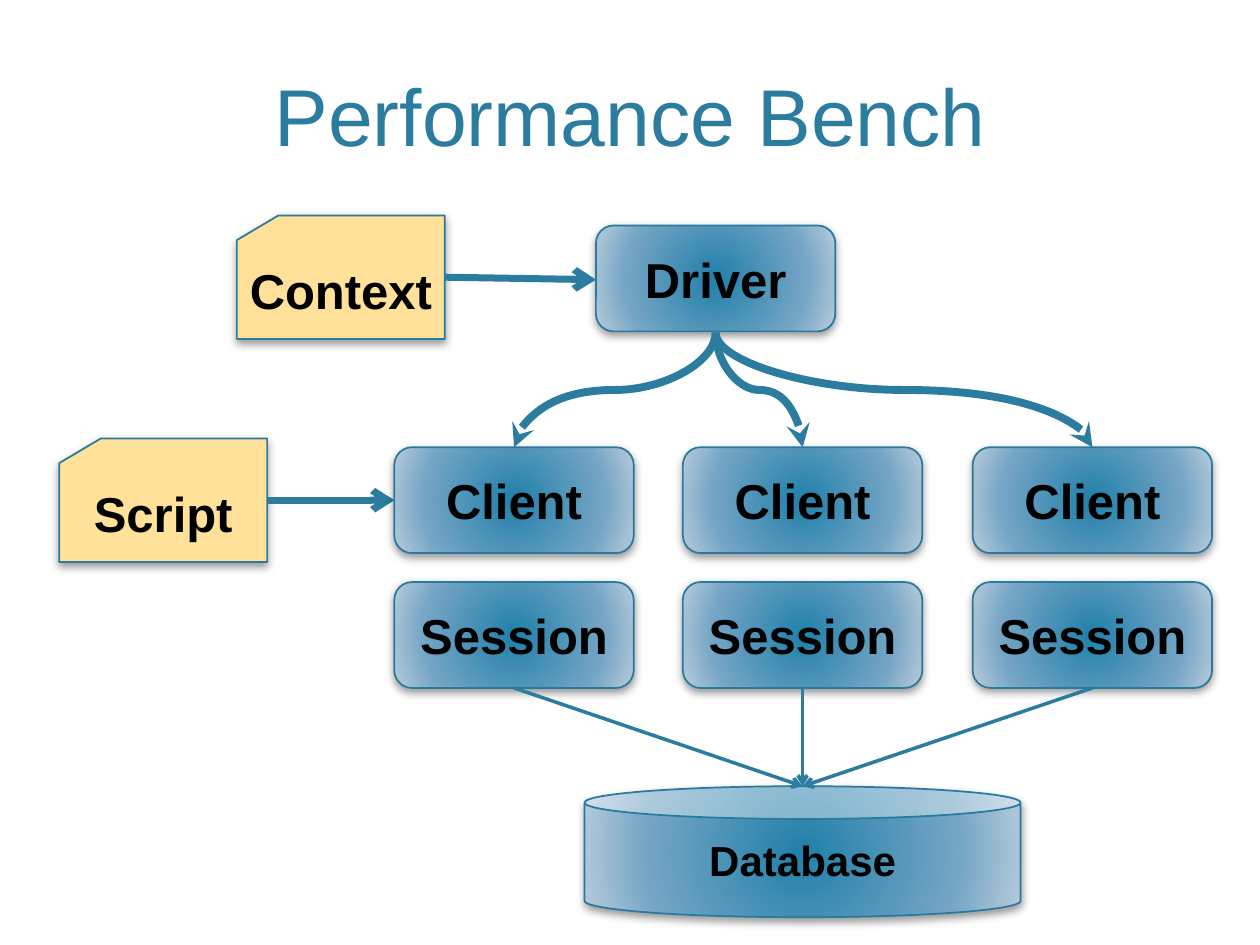
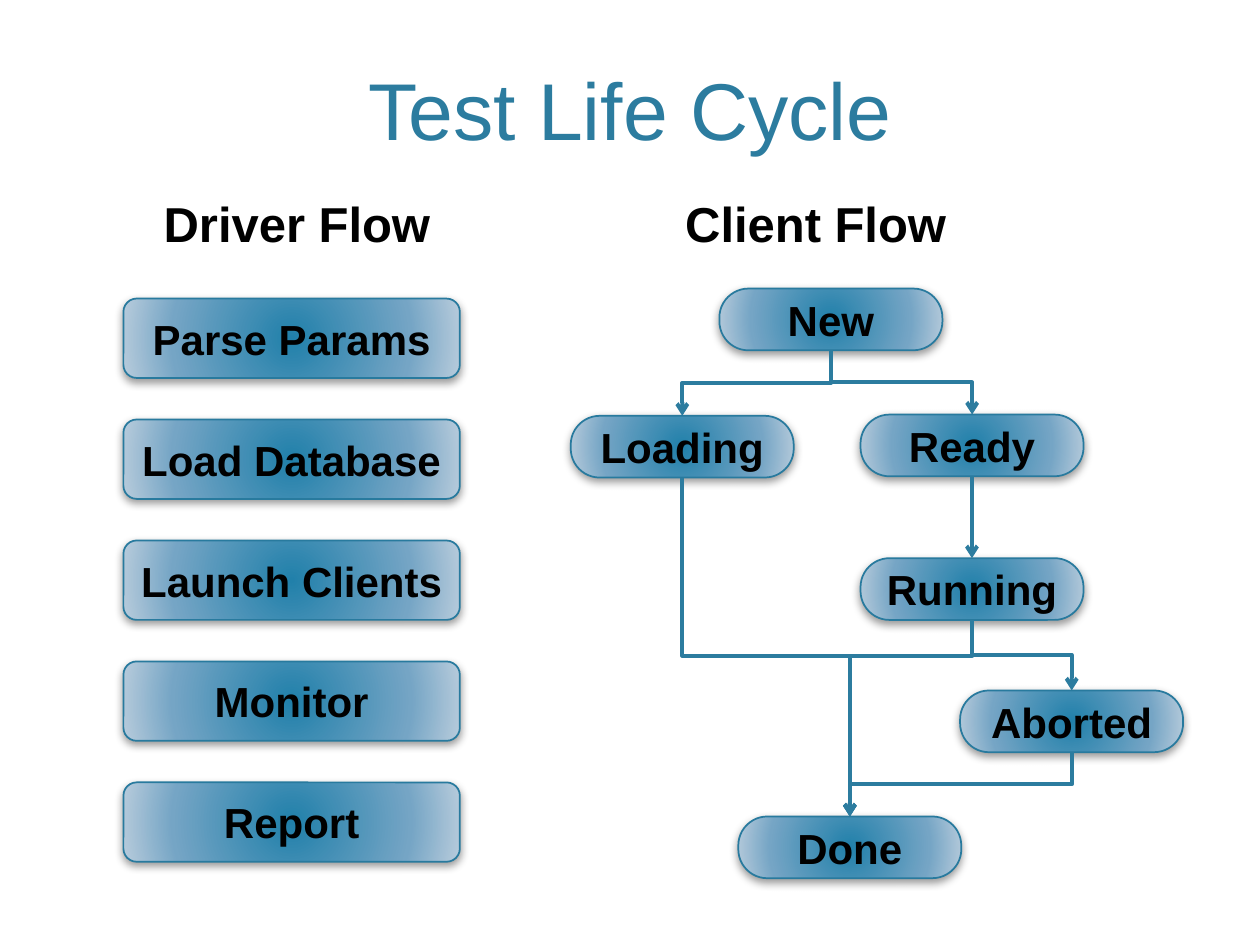
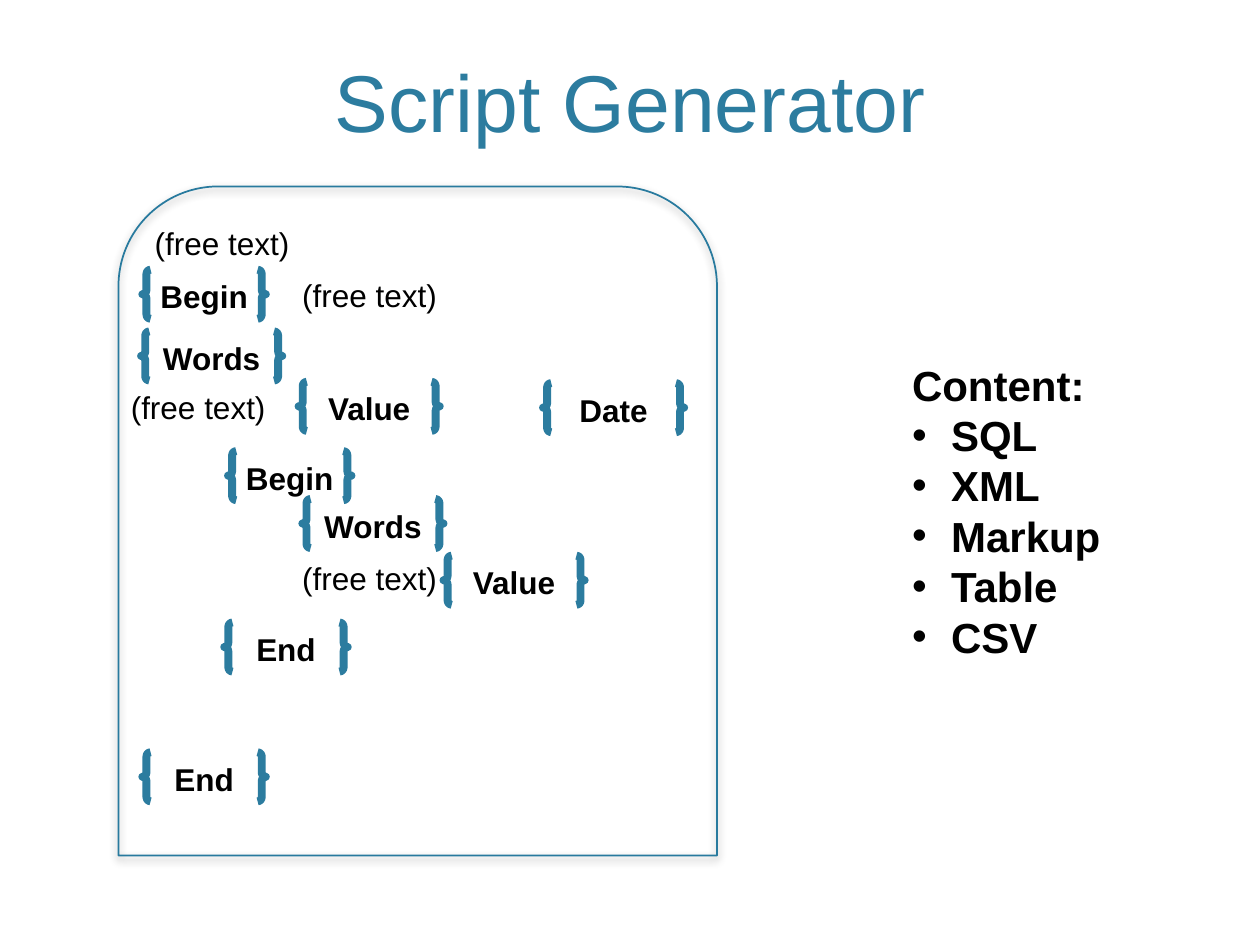
from dataclasses import dataclass

from lxml import etree
from pptx import Presentation
from pptx.dml.color import RGBColor
from pptx.enum.shapes import MSO_CONNECTOR, MSO_SHAPE
from pptx.enum.text import MSO_ANCHOR, MSO_AUTO_SIZE, PP_ALIGN
from pptx.oxml import parse_xml
from pptx.oxml.ns import nsdecls, qn
from pptx.util import Inches, Pt

STRAIGHT = MSO_CONNECTOR.STRAIGHT
ELBOW = MSO_CONNECTOR.ELBOW
CURVE = MSO_CONNECTOR.CURVE
ROUNDED = MSO_SHAPE.ROUNDED_RECTANGLE
CARD = MSO_SHAPE.FLOWCHART_CARD
CAN = MSO_SHAPE.CAN
BRACES = MSO_SHAPE.DOUBLE_BRACE
PAGE = MSO_SHAPE.ROUND_2_SAME_RECTANGLE
CENTER = PP_ALIGN.CENTER
MIDDLE = MSO_ANCHOR.MIDDLE
BOTTOM = MSO_ANCHOR.BOTTOM
FIT_SHAPE = MSO_AUTO_SIZE.SHAPE_TO_FIT_TEXT


@dataclass(frozen=True)
class Theme:
    font: str = "Arial"
    accent: str = "2C7C9F"
    outline: str = "287A9E"
    ink: str = "000000"
    card: str = "FFE199"
    gradient: tuple = ((0, "2180AA"), (69, "75A5C5"), (100, "B8CCDC"))
    title: int = 46
    large: int = 28
    medium: int = 24
    small: int = 18


THEME = Theme()


def rgb(value):
    return RGBColor.from_string(value)


def add_run(paragraph, text, size, bold=True, color=THEME.ink):
    run = paragraph.add_run()
    run.text = text
    run.font.name = THEME.font
    run.font.size = Pt(size)
    run.font.bold = bold
    run.font.color.rgb = rgb(color)


def add_title(slide, text, height):
    box = slide.shapes.add_textbox(Inches(0.6), Inches(0.12), Inches(8.8), Inches(height))
    frame = box.text_frame
    frame.word_wrap = True
    frame.vertical_anchor = BOTTOM
    paragraph = frame.paragraphs[0]
    paragraph.alignment = CENTER
    add_run(paragraph, text, THEME.title, False, THEME.accent)


def add_label(slide, text, left, top, width, height, size, bold=True):
    box = slide.shapes.add_textbox(Inches(left), Inches(top), Inches(width), Inches(height))
    frame = box.text_frame
    frame.word_wrap = False
    frame.auto_size = FIT_SHAPE
    add_run(frame.paragraphs[0], text, size, bold)
    return frame


def add_bullet(frame, text, size):
    paragraph = frame.add_paragraph()
    add_run(paragraph, text, size)
    properties = paragraph._p.get_or_add_pPr()
    properties.set("marL", str(Inches(0.31)))
    properties.set("indent", str(-Inches(0.31)))
    etree.SubElement(properties, qn("a:buFont")).set("typeface", THEME.font)
    etree.SubElement(properties, qn("a:buChar")).set("char", "•")


def fill_radial(shape):
    stops = "".join(
        f'<a:gs pos="{position * 1000}"><a:srgbClr val="{color}"/></a:gs>'
        for position, color in THEME.gradient
    )
    gradient = parse_xml(
        f'<a:gradFill rotWithShape="1" {nsdecls("a")}><a:gsLst>{stops}</a:gsLst>'
        '<a:path path="circle"><a:fillToRect l="100000" t="100000" r="100000" b="100000"/>'
        "</a:path></a:gradFill>"
    )
    properties = shape._element.spPr
    properties.replace(properties.find(qn("a:noFill")), gradient)


def cast_shadow(shape):
    effects = shape._element.spPr.find(qn("a:effectLst"))
    effects.append(parse_xml(
        f'<a:outerShdw {nsdecls("a")} blurRad="{Pt(5)}" dist="{Pt(2)}" dir="5400000" '
        'rotWithShape="0"><a:srgbClr val="000000"><a:alpha val="40000"/></a:srgbClr></a:outerShdw>'
    ))


def add_outline(slide, kind, left, top, width, height, color=THEME.outline, weight=1):
    shape = slide.shapes.add_shape(kind, Inches(left), Inches(top), Inches(width), Inches(height))
    shape.fill.background()
    shape.line.color.rgb = rgb(color)
    shape.line.width = Pt(weight)
    shape.shadow.inherit = False
    return shape


def center_text(shape, text, size):
    frame = shape.text_frame
    frame.word_wrap = True
    frame.margin_left = frame.margin_right = 0
    frame.vertical_anchor = MIDDLE
    paragraph = frame.paragraphs[0]
    paragraph.alignment = CENTER
    add_run(paragraph, text, size)


def add_box(slide, kind, text, left, top, width, height, size, rounding=None):
    shape = add_outline(slide, kind, left, top, width, height)
    if rounding:
        shape.adjustments[0] = rounding
    if kind == CARD:
        shape.fill.solid()
        shape.fill.fore_color.rgb = rgb(THEME.card)
    else:
        fill_radial(shape)
    cast_shadow(shape)
    center_text(shape, text, size)


def add_braces(slide, text, left, top, width):
    shape = add_outline(slide, BRACES, left, top, width, 0.39, THEME.accent, 4.5)
    center_text(shape, text, THEME.small)


def add_arrow(slide, kind, start, end, weight, head="arrow"):
    connector = slide.shapes.add_connector(kind, *(Inches(value) for value in (*start, *end)))
    connector.line.color.rgb = rgb(THEME.accent)
    connector.line.width = Pt(weight)
    etree.SubElement(connector.line._get_or_add_ln(), qn("a:tailEnd")).set("type", head)
    etree.SubElement(connector._element.spPr, qn("a:effectLst"))
    return connector


def add_drop(slide, kind, start, end, weight, head="arrow", bend=0.5):
    (x1, y1), (x2, y2) = start, end
    middle_x, middle_y = (x1 + x2) / 2, (y1 + y2) / 2
    half_run, half_rise = (y2 - y1) / 2, abs(x2 - x1) / 2
    connector = add_arrow(
        slide, kind,
        (middle_x - half_run, middle_y - half_rise),
        (middle_x + half_run, middle_y + half_rise),
        weight, head,
    )
    properties = connector._element.spPr
    transform = properties.find(qn("a:xfrm"))
    if x2 < x1:
        transform.set("rot", "5400000")
    else:
        transform.set("rot", "16200000")
        transform.set("flipH", "1")
    guide = etree.SubElement(properties.find(qn("a:prstGeom")).find(qn("a:avLst")), qn("a:gd"))
    guide.set("name", "adj1")
    guide.set("fmla", f"val {round(bend * 100000)}")


def build_bench(slide):
    add_title(slide, "Performance Bench", 1.22)
    width, height = 1.9, 0.84
    client_top, session_top = 3.55, 4.62
    driver_exit = (5.68, 2.64)
    database_entry = (6.37, 6.24)
    add_box(slide, ROUNDED, "Driver", 4.73, 1.79, width, height, THEME.large)
    add_box(slide, CARD, "Context", 1.88, 1.71, 1.65, 0.98, THEME.large)
    add_box(slide, CARD, "Script", 0.47, 3.48, 1.65, 0.98, THEME.large)
    add_arrow(slide, STRAIGHT, (3.53, 2.2), (4.73, 2.22), 4)
    add_arrow(slide, STRAIGHT, (2.12, 3.97), (3.13, 3.97), 4)
    add_box(slide, CAN, "Database", 4.64, 6.24, 3.46, 1.04, THEME.medium)
    for left in (3.13, 5.42, 7.72):
        center = left + width / 2
        add_box(slide, ROUNDED, "Client", left, client_top, width, height, THEME.large)
        add_box(slide, ROUNDED, "Session", left, session_top, width, height, THEME.large)
        add_drop(slide, CURVE, driver_exit, (center, client_top), 4.5, "stealth")
        add_arrow(slide, STRAIGHT, (center, session_top + height), database_entry, 2)


def build_life_cycle(slide):
    add_title(slide, "Test Life Cycle", 1.17)
    add_label(slide, "Driver Flow", 1.2, 1.49, 2.35, 0.57, THEME.large)
    add_label(slide, "Client Flow", 5.34, 1.49, 2.34, 0.57, THEME.large)
    steps = ("Parse Params", "Load Database", "Launch Clients", "Monitor", "Report")
    for index, step in enumerate(steps):
        add_box(slide, ROUNDED, step, 0.98, 2.37 + 0.96 * index, 2.67, 0.63, THEME.medium)

    width, height = 1.77, 0.49
    states = {
        "New": (5.71, 2.29),
        "Loading": (4.53, 3.3),
        "Ready": (6.83, 3.29),
        "Running": (6.83, 4.43),
        "Aborted": (7.62, 5.48),
        "Done": (5.86, 6.48),
    }
    for state, (left, top) in states.items():
        add_box(slide, ROUNDED, state, left, top, width, height, THEME.medium, 0.47)
    transitions = (
        ("New", "Loading", 0.5),
        ("New", "Ready", 0.5),
        ("Ready", "Running", 0.5),
        ("Running", "Aborted", 0.5),
        ("Running", "Done", 0.185),
        ("Aborted", "Done", 0.5),
        ("Loading", "Done", 0.526),
    )
    for source, target, bend in transitions:
        (left, top), (target_left, target_top) = states[source], states[target]
        start = (left + width / 2, top + height)
        end = (target_left + width / 2, target_top)
        add_drop(slide, ELBOW, start, end, 2.25, bend=bend)


def build_generator(slide):
    add_title(slide, "Script Generator", 1.11)
    narrow, wide = 0.98, 1.12
    tags = (
        ("Begin", 1.13, 2.14, narrow),
        ("Words", 1.12, 2.63, wide),
        ("Value", 2.37, 3.03, wide),
        ("Date", 4.31, 3.04, wide),
        ("Begin", 1.81, 3.58, narrow),
        ("Words", 2.4, 3.96, wide),
        ("Value", 3.52, 4.41, wide),
        ("End", 1.78, 4.94, narrow),
        ("End", 1.13, 5.97, narrow),
    )
    for tag in tags:
        add_braces(slide, *tag)
    for left, top in ((1.13, 1.73), (2.3, 2.14), (0.94, 3.03), (2.3, 4.39)):
        add_label(slide, "(free text)", left, top, 1.36, 0.4, THEME.small, False)
    content = add_label(slide, "Content:", 7.14, 2.8, 1.73, 2.52, THEME.medium)
    for entry in ("SQL", "XML", "Markup", "Table", "CSV"):
        add_bullet(content, entry, THEME.medium)
    cast_shadow(add_outline(slide, PAGE, 0.94, 1.48, 4.75, 5.31))


def main():
    presentation = Presentation()
    presentation.slide_width = Inches(10)
    presentation.slide_height = Inches(7.5)
    blank = presentation.slide_layouts[6]
    for build in (build_bench, build_life_cycle, build_generator):
        build(presentation.slides.add_slide(blank))
    presentation.save("out.pptx")


main()
